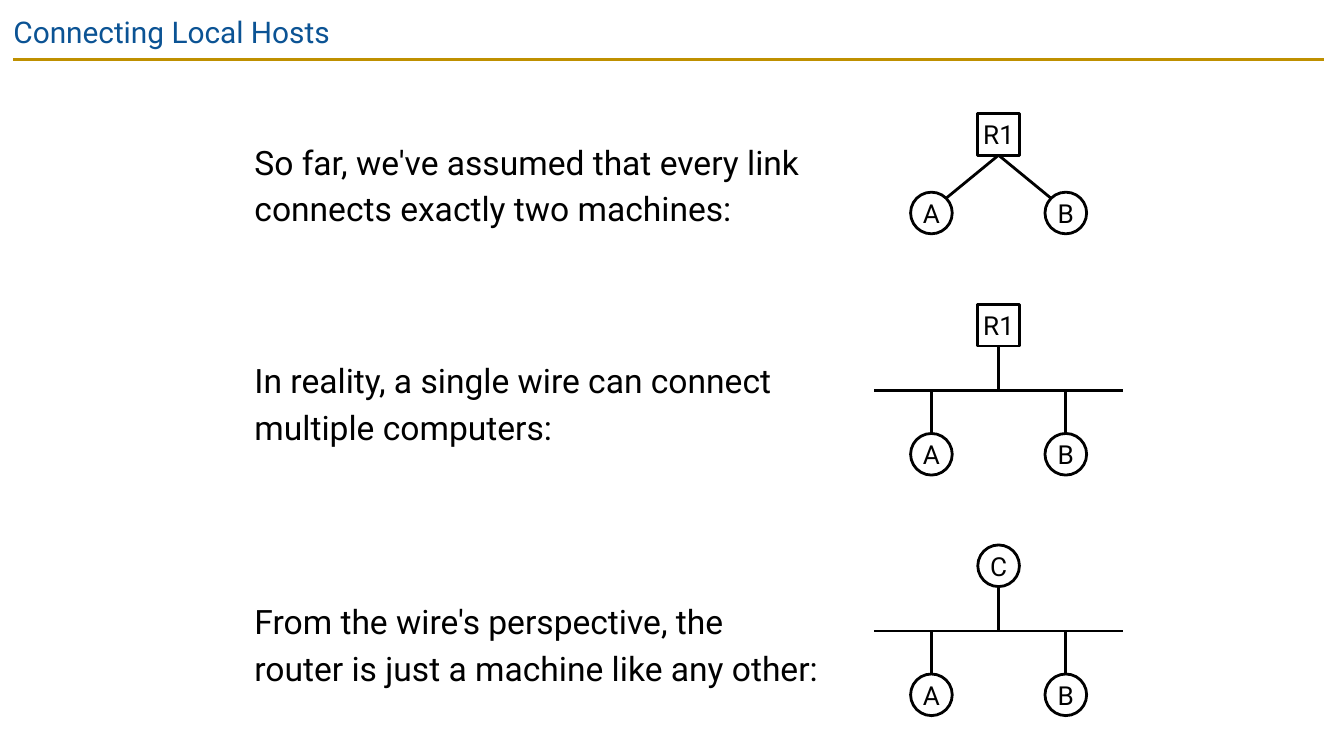
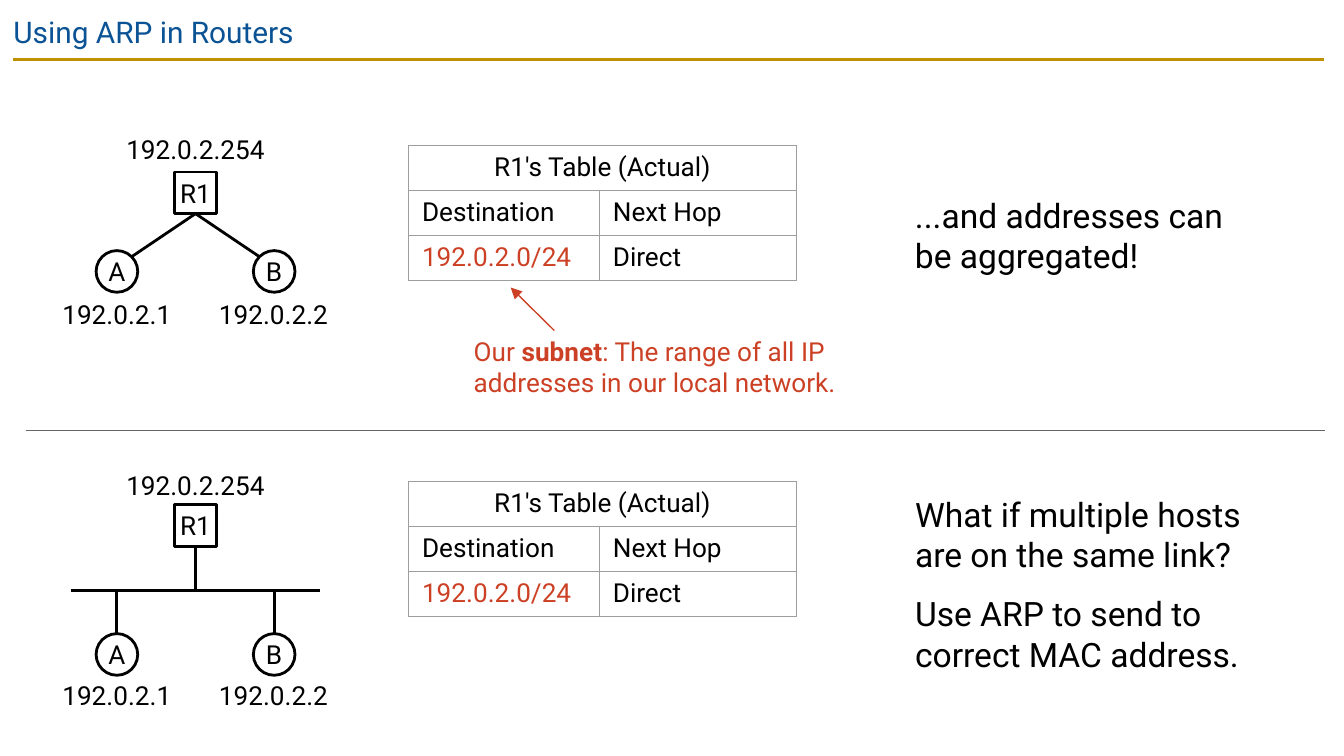
from lxml.etree import SubElement
from pptx import Presentation
from pptx.dml.color import RGBColor
from pptx.enum.shapes import MSO_CONNECTOR, MSO_SHAPE
from pptx.enum.text import MSO_ANCHOR, MSO_AUTO_SIZE, PP_ALIGN
from pptx.oxml.ns import qn
from pptx.util import Pt

PX = 4572
FONT = "Roboto"
COLORS = {
    "title": "0B5394",
    "gold": "BF9000",
    "ink": "000000",
    "paper": "FFFFFF",
    "accent": "CC4125",
    "grid": "9E9E9E",
    "divider": "666666",
}
NODE = 62
WIRE_WIDTH = 370


def px(*lengths):
    return [length * PX for length in lengths]


def rgb(name):
    return RGBColor.from_string(COLORS[name])


class Deck:
    def __init__(self):
        self.presentation = Presentation()
        self.presentation.slide_width, self.presentation.slide_height = px(2000, 1125)
        self.slide = None

    def new_slide(self, heading):
        layout = self.presentation.slide_layouts.get_by_name("Title Only")
        self.slide = self.presentation.slides.add_slide(layout)
        title = self.slide.shapes.title
        title.left, title.top, title.width, title.height = px(0, 0, 2000, 86)
        self.frame(title.text_frame, 20)
        self.paragraph(title.text_frame.paragraphs[0], heading, 16, "title")
        self.line((20, 89), (1970, 89), "gold")

    def frame(self, text_frame, inset, anchor=MSO_ANCHOR.TOP, fit=MSO_AUTO_SIZE.NONE):
        text_frame.word_wrap = True
        text_frame.auto_size = fit
        text_frame.vertical_anchor = anchor
        text_frame.margin_left, text_frame.margin_right = px(inset, inset)
        text_frame.margin_top, text_frame.margin_bottom = px(inset, inset)

    def paragraph(self, paragraph, text, size, color="ink", align=PP_ALIGN.LEFT):
        plain, *others = text.split("*")
        paragraph.text = plain
        for part in others:
            paragraph.add_run().text = part
        paragraph.alignment = align
        for position, run in enumerate(paragraph.runs):
            run.font.name = FONT
            run.font.size = Pt(size)
            run.font.bold = position % 2 == 1
            run.font.color.rgb = rgb(color)

    def text(self, box, *texts, size=18, color="ink", inset=20, spacing=None,
             align=PP_ALIGN.LEFT):
        text_frame = self.slide.shapes.add_textbox(*px(*box)).text_frame
        self.frame(text_frame, inset, fit=MSO_AUTO_SIZE.SHAPE_TO_FIT_TEXT)
        for position, content in enumerate(texts):
            paragraph = text_frame.add_paragraph() if position else text_frame.paragraphs[0]
            self.paragraph(paragraph, content, size, color, align)
            if spacing:
                paragraph.line_spacing = spacing
            if position:
                paragraph.space_before = paragraph.space_after = Pt(10)

    def line(self, start, end, color="ink", weight=1.5, arrow=False):
        connector = self.slide.shapes.add_connector(
            MSO_CONNECTOR.STRAIGHT, *px(*start, *end))
        connector.line.color.rgb = rgb(color)
        connector.line.width = Pt(weight)
        properties = connector._element.spPr
        if arrow:
            SubElement(properties.find(qn("a:ln")), qn("a:tailEnd"), type="triangle")
        SubElement(properties, qn("a:effectLst"))
        return connector

    def node(self, label, left, top):
        outline = MSO_SHAPE.RECTANGLE if label.startswith("R") else MSO_SHAPE.OVAL
        node = self.slide.shapes.add_shape(outline, *px(left, top, NODE, NODE))
        node.shadow.inherit = False
        node.fill.solid()
        node.fill.fore_color.rgb = rgb("paper")
        node.line.color.rgb = rgb("ink")
        node.line.width = Pt(1.5)
        self.frame(node.text_frame, 0, MSO_ANCHOR.MIDDLE)
        self.paragraph(node.text_frame.paragraphs[0], label, 14, align=PP_ALIGN.CENTER)
        return node

    def hosts(self, hub_left, top, span):
        left = hub_left - span // 2
        return [(self.node(label, x, top), x)
                for label, x in (("A", left), ("B", left + span))]

    def point_to_point(self, left, top, span, drop):
        router = self.node("R1", left, top)
        host_top = top + drop
        for (_, host_left), edge in zip(self.hosts(left, host_top, span), (53, 9)):
            link = self.line((host_left + edge, host_top + 9),
                             (left + NODE // 2, top + NODE))
            link.end_connect(router, 2)

    def shared_wire(self, hub_label, left, top, span):
        wire_y, host_top = top + 128, top + 192
        middle = left + NODE // 2
        wire_left = middle - WIRE_WIDTH // 2
        self.line((wire_left, wire_y), (wire_left + WIRE_WIDTH, wire_y))
        hub = self.node(hub_label, left, top)
        drop = self.line((middle, wire_y), (middle, top + NODE))
        if hub_label.startswith("R"):
            drop.end_connect(hub, 2)
        for host, host_left in self.hosts(left, host_top, span):
            host_middle = host_left + NODE // 2
            tap = self.line((host_middle, host_top), (host_middle, wire_y))
            tap.begin_connect(host, 0)

    def addresses(self, router_top, host_top):
        for address, left, top, width in (
                ("192.0.2.254", 183, router_top, 216),
                ("192.0.2.1", 88, host_top, 172),
                ("192.0.2.2", 321, host_top, 172)):
            self.text((left, top, width, 48), address, size=14, inset=0,
                      align=PP_ALIGN.CENTER)

    def cell(self, cell, text, color, align):
        self.paragraph(cell.text_frame.paragraphs[0], text, 14, color, align)
        properties = cell._tc.get_or_add_tcPr()
        for side in ("a:lnL", "a:lnR", "a:lnT", "a:lnB"):
            border = SubElement(properties, qn(side), w=str(Pt(0.75)))
            fill = SubElement(border, qn("a:solidFill"))
            SubElement(fill, qn("a:srgbClr"), val=COLORS["grid"])
        cell.fill.background()

    def forwarding_table(self, top):
        rows = (
            ("R1's Table (Actual)", ""),
            ("Destination", "Next Hop"),
            ("192.0.2.0/24", "Direct"),
        )
        table = self.slide.shapes.add_table(3, 2, *px(608, top, 577, 168)).table
        table.first_row = table.horz_banding = False
        for column, width in zip(table.columns, px(284, 293)):
            column.width = width
        for r, row in enumerate(rows):
            for c, text in enumerate(row):
                color = "accent" if (r, c) == (2, 0) else "ink"
                align = PP_ALIGN.LEFT if r else PP_ALIGN.CENTER
                self.cell(table.cell(r, c), text, color, align)
        table.cell(0, 0).merge(table.cell(0, 1))


def local_hosts(deck):
    deck.new_slide("Connecting Local Hosts")
    statements = (
        (182, 858, "So far, we've assumed that every link connects exactly two machines:"),
        (507, 858, "In reality, a single wire can connect multiple computers:"),
        (866, 880, "From the wire's perspective, the router is just a machine like any other:"),
    )
    for top, width, statement in statements:
        deck.text((359, top, width, 170), statement, spacing=1.15)
    deck.point_to_point(1455, 169, span=200, drop=117)
    deck.shared_wire("R1", 1455, 453, span=200)
    deck.shared_wire("C", 1455, 811, span=200)


def arp_in_routers(deck):
    deck.new_slide("Using ARP in Routers")
    deck.point_to_point(260, 256, span=234, drop=117)
    deck.addresses(199, 444)
    deck.forwarding_table(217)
    deck.text((1342, 270, 526, 162), "...and addresses can be aggregated!")
    deck.line((825, 492), (760, 428), "accent", 0.75, arrow=True)
    deck.text((699, 493, 570, 106),
              "Our *subnet*: The range of all IP addresses in our local network.",
              size=14, color="accent", inset=6)

    deck.line((39, 641), (1972, 641), "divider", 0.75)

    deck.shared_wire("R1", 260, 751, span=234)
    deck.addresses(699, 1011)
    deck.forwarding_table(717)
    deck.text((1342, 715, 576, 310),
              "What if multiple hosts are on the same link?",
              "Use ARP to send to correct MAC address.")


def main():
    deck = Deck()
    local_hosts(deck)
    arp_in_routers(deck)
    deck.presentation.save("out.pptx")


if __name__ == "__main__":
    main()
